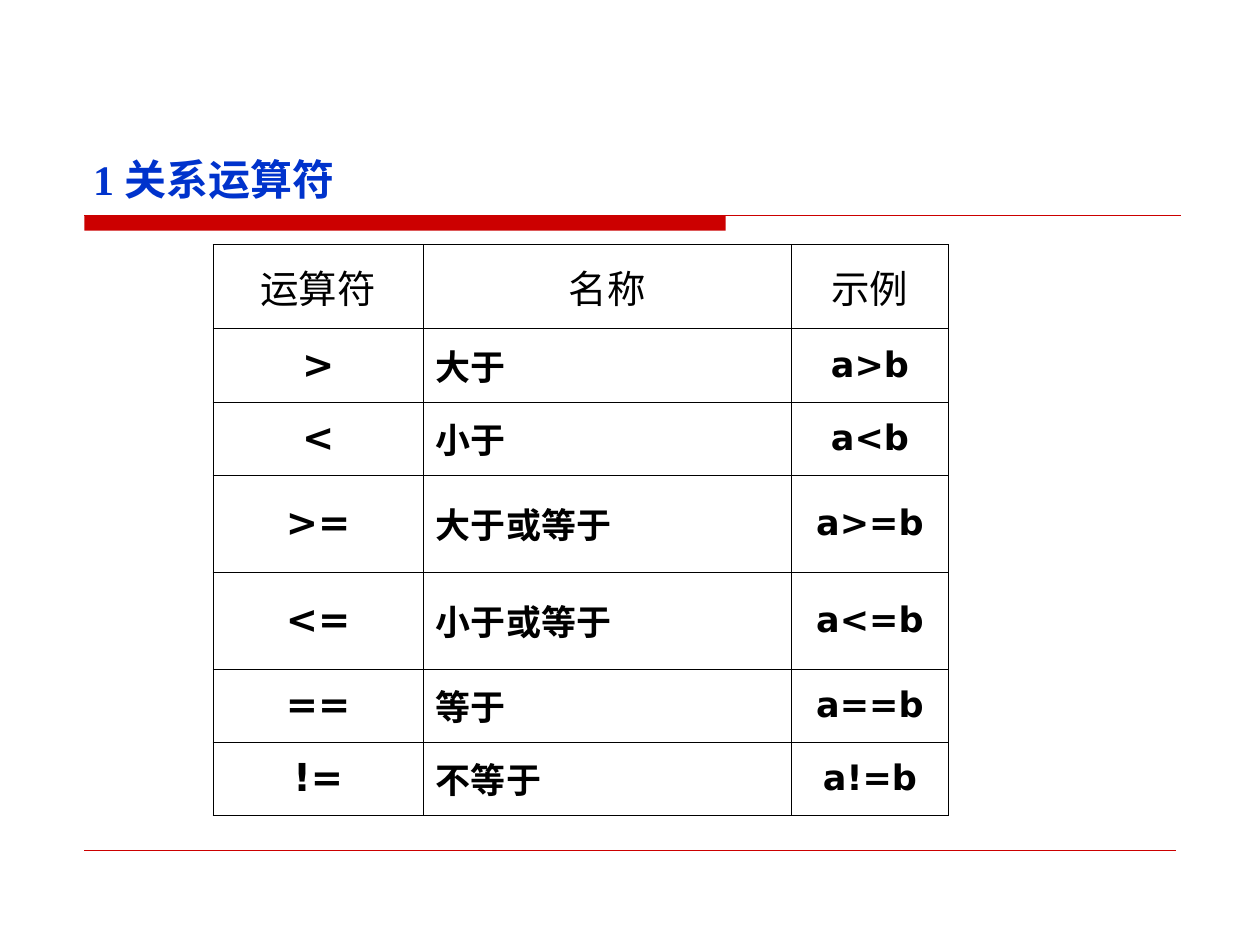
from dataclasses import dataclass

from lxml import etree
from pptx import Presentation
from pptx import util as u
from pptx.dml.color import RGBColor
from pptx.enum import shapes, text
from pptx.oxml import ns

Inches, Pt = u.Inches, u.Pt


@dataclass(frozen=True)
class Theme:
    red: str = "CC0000"
    blue: str = "0033CC"
    black: str = "000000"
    white: str = "FFFFFF"
    serif: str = "Times New Roman"
    sans: str = "DejaVu Sans"
    title_size: float = 24
    large_size: float = 22
    body_size: float = 20
    border_width: float = 0.45


THEME = Theme()
CENTER, LEFT = text.PP_ALIGN.CENTER, text.PP_ALIGN.LEFT

COLUMN_WIDTHS = [1.67, 2.92, 1.25]
ROW_HEIGHTS = [0.67, 0.58, 0.58, 0.77, 0.77, 0.58, 0.58]
HEADINGS = ["运算符", "名称", "示例"]
OPERATORS = [
    (">", "大于"),
    ("<", "小于"),
    (">=", "大于或等于"),
    ("<=", "小于或等于"),
    ("==", "等于"),
    ("!=", "不等于"),
]


def write_text(frame, content, *, font, size, color=THEME.black, bold=False, align=LEFT):
    paragraph = frame.paragraphs[0]
    paragraph.alignment = align
    run = paragraph.add_run()
    run.text = content
    run.font.name = font
    run.font.size = Pt(size)
    run.font.bold = bold
    run.font.color.rgb = RGBColor.from_string(color)


def add_rule(slide, left, top, width, weight):
    """Draw a horizontal red line without a shadow."""
    rule = slide.shapes.add_connector(
        shapes.MSO_CONNECTOR.STRAIGHT,
        Inches(left), Inches(top), Inches(left + width), Inches(top))
    rule.line.color.rgb = RGBColor.from_string(THEME.red)
    rule.line.width = Pt(weight)
    etree.SubElement(rule._element.spPr, ns.qn("a:effectLst"))


def add_header_bar(slide, left, top, width, height):
    """Draw a thick bar over part of the width and a thin line over all of it."""
    bar = slide.shapes.add_shape(
        shapes.MSO_SHAPE.RECTANGLE,
        Inches(left), Inches(top), Inches(width * 0.585), Inches(height))
    bar.shadow.inherit = False
    bar.fill.solid()
    bar.fill.fore_color.rgb = RGBColor.from_string(THEME.red)
    bar.line.fill.background()
    add_rule(slide, left, top, width, 1)


def add_title(slide, left, top, width, height):
    box = slide.shapes.add_textbox(Inches(left), Inches(top), Inches(width), Inches(height))
    box.text_frame.word_wrap = False
    box.text_frame.auto_size = text.MSO_AUTO_SIZE.SHAPE_TO_FIT_TEXT
    write_text(box.text_frame, "1 关系运算符", font=THEME.serif, size=THEME.title_size,
               color=THEME.blue, bold=True)


def style_cell(cell):
    """Give a cell a white fill, thin borders and a middle anchor."""
    cell.vertical_anchor = text.MSO_ANCHOR.MIDDLE
    cell.fill.solid()
    cell.fill.fore_color.rgb = RGBColor.from_string(THEME.white)
    properties = cell._tc.get_or_add_tcPr()
    for index, side in enumerate(("lnL", "lnR", "lnT", "lnB")):
        border = etree.Element(ns.qn(f"a:{side}"), w=str(int(Pt(THEME.border_width))))
        fill = etree.SubElement(border, ns.qn("a:solidFill"))
        etree.SubElement(fill, ns.qn("a:srgbClr"), val=THEME.black)
        properties.insert(index, border)


def add_operator_table(slide, left, top, width, height):
    table = slide.shapes.add_table(
        len(ROW_HEIGHTS), len(COLUMN_WIDTHS),
        Inches(left), Inches(top), Inches(width), Inches(height)).table
    table.first_row = table.horz_banding = False
    for column, share in zip(table.columns, COLUMN_WIDTHS):
        column.width = Inches(width * share / sum(COLUMN_WIDTHS))
    for row, share in zip(table.rows, ROW_HEIGHTS):
        row.height = Inches(height * share / sum(ROW_HEIGHTS))

    heading = dict(font=THEME.serif, size=THEME.large_size, align=CENTER)
    body = dict(font=THEME.sans, bold=True)
    column_formats = [
        dict(body, size=THEME.large_size, align=CENTER),
        dict(body, size=THEME.body_size),
        dict(body, size=THEME.body_size, align=CENTER),
    ]
    rows = [HEADINGS] + [(sign, name, f"a{sign}b") for sign, name in OPERATORS]
    for row_index, values in enumerate(rows):
        formats = column_formats if row_index else [heading] * len(values)
        for column_index, (value, style) in enumerate(zip(values, formats)):
            cell = table.cell(row_index, column_index)
            style_cell(cell)
            write_text(cell.text_frame, value, **style)


def main():
    presentation = Presentation()
    presentation.slide_width, presentation.slide_height = Inches(10), Inches(7.5)
    slide = presentation.slides.add_slide(presentation.slide_layouts[6])
    add_header_bar(slide, 0.67, 1.71, 8.7, 0.12)
    add_rule(slide, 0.67, 6.75, 8.66, 0.25)
    add_operator_table(slide, 1.69, 1.94, 5.84, 4.53)
    add_title(slide, 0.64, 1.17, 2.22, 0.5)
    presentation.save("out.pptx")


if __name__ == "__main__":
    main()
